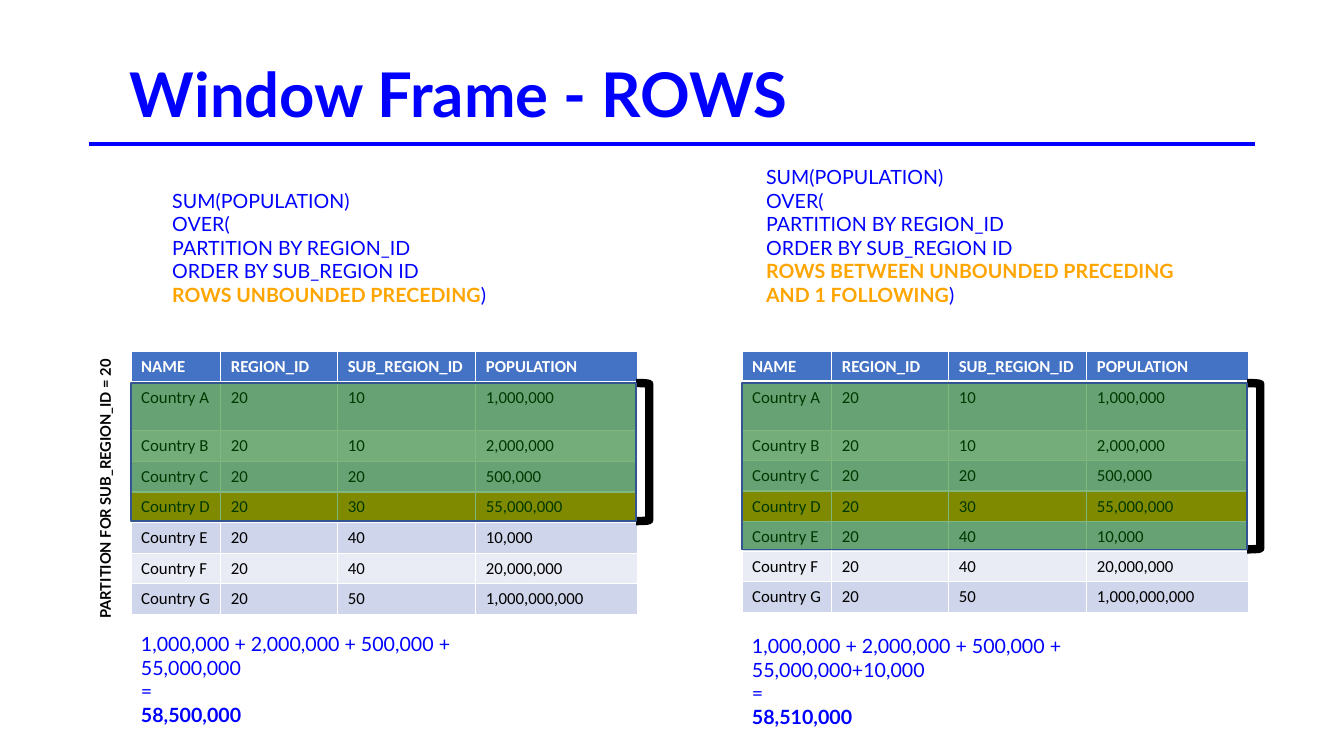
from dataclasses import dataclass

from lxml.etree import SubElement
from pptx import Presentation
from pptx.dml.color import RGBColor
from pptx.enum.shapes import MSO_CONNECTOR, MSO_SHAPE
from pptx.enum.text import MSO_ANCHOR, MSO_AUTO_SIZE, PP_ALIGN
from pptx.oxml.ns import qn
from pptx.shapes.autoshape import Shape
from pptx.slide import Slide
from pptx.table import _Cell
from pptx.util import Inches, Pt

BLUE = "0000FF"
ORANGE = "FFA500"
WHITE = "FFFFFF"
BLACK = "000000"
HEADER_FILL = "4472C4"
BAND_FILLS = ("CFD5EA", "E9EBF5")

TABLE_TOP = 3.49
FRAME_TOP = 3.8
TABLE_WIDTH = 5.01
COLUMN_WIDTHS = (0.89, 1.16, 1.37, 1.6)
ROW_HEIGHT = 0.3
FIRST_COUNTRY_HEIGHT = 0.48
CURRENT_ROW = 4
ROWS = (
    ("NAME", "REGION_ID", "SUB_REGION_ID", "POPULATION"),
    ("Country A", "20", "10", "1,000,000"),
    ("Country B", "20", "10", "2,000,000"),
    ("Country C", "20", "20", "500,000"),
    ("Country D", "20", "30", "55,000,000"),
    ("Country E", "20", "40", "10,000"),
    ("Country F", "20", "40", "20,000,000"),
    ("Country G", "20", "50", "1,000,000,000"),
)
QUERY = ("SUM(POPULATION)", "OVER(", "PARTITION BY REGION_ID", "ORDER BY SUB_REGION ID")


@dataclass(frozen=True)
class Span:
    text: str
    color: str = BLUE
    bold: bool = False


@dataclass(frozen=True)
class Area:
    left: float
    top: float
    width: float
    height: float

    def lengths(self) -> list[int]:
        return [Inches(value) for value in (self.left, self.top, self.width, self.height)]


@dataclass(frozen=True)
class WindowFrame:
    table_left: float
    query_area: Area
    clause: str
    frame_height: float
    sum_area: Area
    addends: str
    total: str


WINDOW_FRAMES = (
    WindowFrame(1.3, Area(1.61, 1.82, 4.31, 1.28), "ROWS UNBOUNDED PRECEDING", 1.37,
                Area(1.3, 6.22, 4.3, 0.81),
                "1,000,000 + 2,000,000 + 500,000 + 55,000,000", "58,500,000"),
    WindowFrame(7.36, Area(7.5, 1.59, 4.31, 1.51),
                "ROWS BETWEEN UNBOUNDED PRECEDING AND 1 FOLLOWING", 1.65,
                Area(7.36, 6.24, 4.86, 0.81),
                "1,000,000 + 2,000,000 + 500,000 + 55,000,000+10,000", "58,510,000"),
)


def rgb(color: str) -> RGBColor:
    return RGBColor.from_string(color)


def write_lines(box: Shape, lines: list[list[Span]], size: float) -> None:
    frame = box.text_frame
    for index, line in enumerate(lines):
        para = frame.paragraphs[0] if index == 0 else frame.add_paragraph()
        para.alignment = PP_ALIGN.LEFT
        for span in line:
            run = para.add_run()
            run.text = span.text
            run.font.name = "Lato"
            run.font.size = Pt(size)
            run.font.bold = span.bold
            run.font.color.rgb = rgb(span.color)


def add_text(page: Slide, area: Area, lines: list[list[Span]], size: float = 14,
             wrap: bool = True) -> Shape:
    box = page.shapes.add_textbox(*area.lengths())
    box.text_frame.word_wrap = wrap
    box.text_frame.auto_size = MSO_AUTO_SIZE.SHAPE_TO_FIT_TEXT
    write_lines(box, lines, size)
    return box


def add_preset(page: Slide, kind: MSO_SHAPE, area: Area, fill: str | None = None,
               line: str | None = None, line_width: float = 1) -> Shape:
    shape = page.shapes.add_shape(kind, *area.lengths())
    shape.shadow.inherit = False
    if fill:
        shape.fill.solid()
        shape.fill.fore_color.rgb = rgb(fill)
    else:
        shape.fill.background()
    if line:
        shape.line.color.rgb = rgb(line)
        shape.line.width = Pt(line_width)
    else:
        shape.line.fill.background()
    return shape


def set_borders(cell: _Cell, top: float, bottom: float) -> None:
    properties = cell._tc.get_or_add_tcPr()
    for side, width in (("L", 1), ("R", 1), ("T", top), ("B", bottom)):
        border = SubElement(properties, qn(f"a:ln{side}"), w=str(Pt(width)))
        fill = SubElement(border, qn("a:solidFill"))
        SubElement(fill, qn("a:srgbClr"), val=WHITE)


def row_fill(row: int) -> str:
    if row == 0:
        return HEADER_FILL
    return ORANGE if row == CURRENT_ROW else BAND_FILLS[(row - 1) % 2]


def add_country_table(page: Slide, left: float) -> None:
    heights = [ROW_HEIGHT] * len(ROWS)
    heights[1] = FIRST_COUNTRY_HEIGHT
    area = Area(left, TABLE_TOP, TABLE_WIDTH, sum(heights))
    table = page.shapes.add_table(len(ROWS), len(COLUMN_WIDTHS), *area.lengths()).table
    for column, width in zip(table.columns, COLUMN_WIDTHS):
        column.width = Inches(width)
    for row, values in enumerate(ROWS):
        table.rows[row].height = Inches(heights[row])
        for column, value in enumerate(values):
            cell = table.cell(row, column)
            set_borders(cell, 3 if row == 1 else 1, 3 if row == 0 else 1)
            cell.fill.solid()
            cell.fill.fore_color.rgb = rgb(row_fill(row))
            cell.text_frame.text = value
            font = cell.text_frame.paragraphs[0].runs[0].font
            font.name = "Calibri"
            font.size = Pt(12)
            font.bold = row == 0
            font.color.rgb = rgb(WHITE if row == 0 else BLACK)


def add_window_frame(page: Slide, window: WindowFrame) -> None:
    add_country_table(page, window.table_left)
    query = [[Span(text)] for text in QUERY]
    add_text(page, window.query_area, query + [[Span(window.clause, ORANGE, True), Span(")")]])
    bracket = Area(window.table_left + TABLE_WIDTH, FRAME_TOP, 0.13, window.frame_height)
    add_preset(page, MSO_SHAPE.RIGHT_BRACKET, bracket, line=BLACK, line_width=6)
    add_text(page, window.sum_area,
             [[Span(window.addends)], [Span("=")], [Span(window.total, bold=True)]])
    area = Area(window.table_left, FRAME_TOP, TABLE_WIDTH, window.frame_height)
    overlay = add_preset(page, MSO_SHAPE.RECTANGLE, area, "007000", "325491")
    color = overlay._element.spPr.find(qn("a:solidFill")).find(qn("a:srgbClr"))
    SubElement(color, qn("a:alpha"), val="50000")


def add_heading(page: Slide) -> None:
    title = add_preset(page, MSO_SHAPE.RECTANGLE, Area(1.19, 0.51, 10.89, 0.77), WHITE)
    title.text_frame.word_wrap = True
    title.text_frame.vertical_anchor = MSO_ANCHOR.TOP
    write_lines(title, [[Span("Window Frame - ROWS", bold=True)]], 44)
    rule = page.shapes.add_connector(MSO_CONNECTOR.STRAIGHT, Inches(0.88), Inches(1.43),
                                     Inches(12.45), Inches(1.43))
    rule.line.color.rgb = rgb(BLUE)
    rule.line.width = Pt(3)
    SubElement(rule._element.spPr, qn("a:effectLst"))


def main() -> None:
    deck = Presentation()
    deck.slide_width = Inches(13.33)
    deck.slide_height = Inches(7.5)
    page = deck.slides.add_slide(deck.slide_layouts[6])
    add_heading(page)
    for window in WINDOW_FRAMES:
        add_window_frame(page, window)
    label = add_text(page, Area(-0.36, 4.69, 2.81, 0.28),
                     [[Span("PARTITION FOR SUB_REGION_ID = 20", BLACK, True)]], 10.5, wrap=False)
    label.rotation = 270
    deck.save("out.pptx")


if __name__ == "__main__":
    main()
